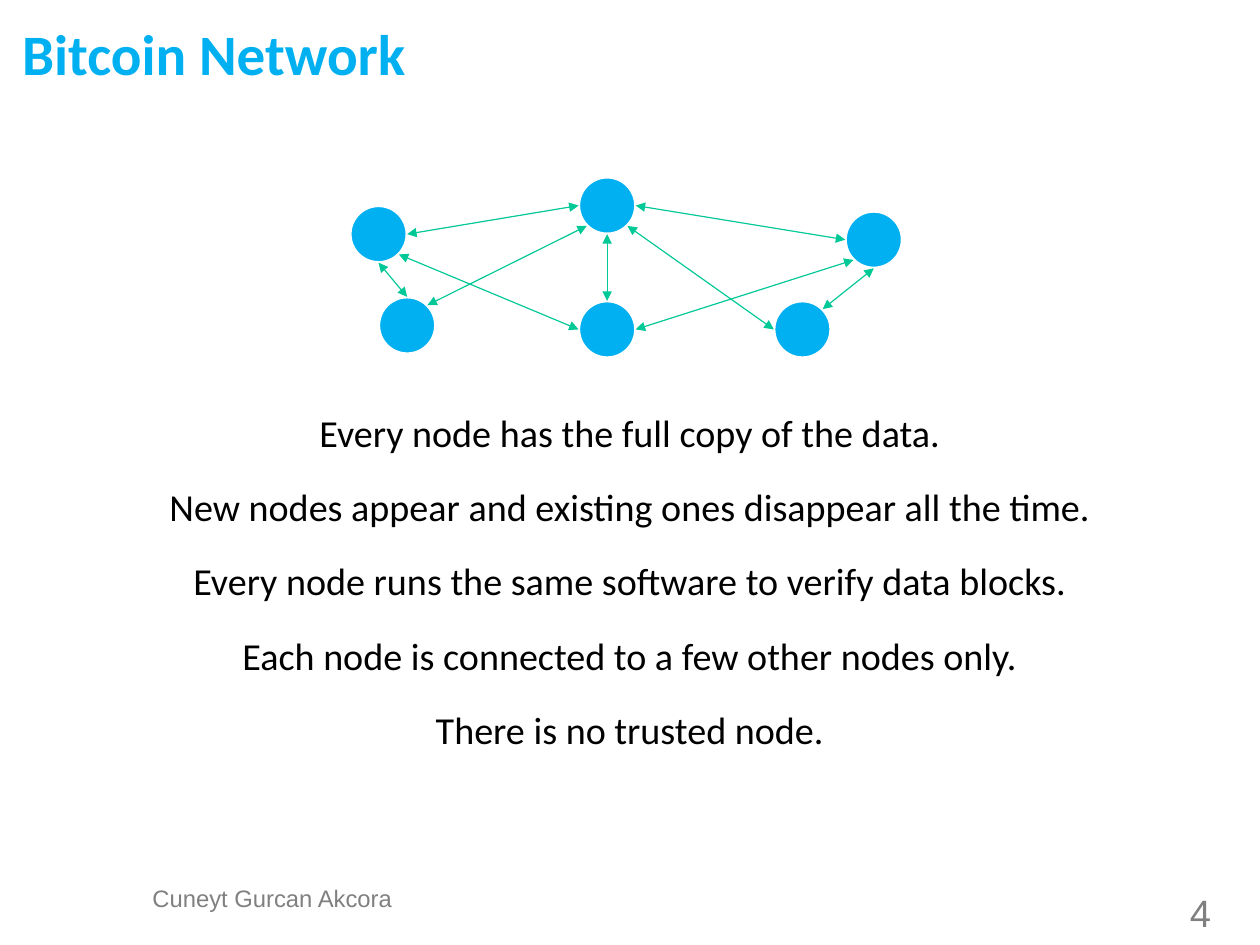
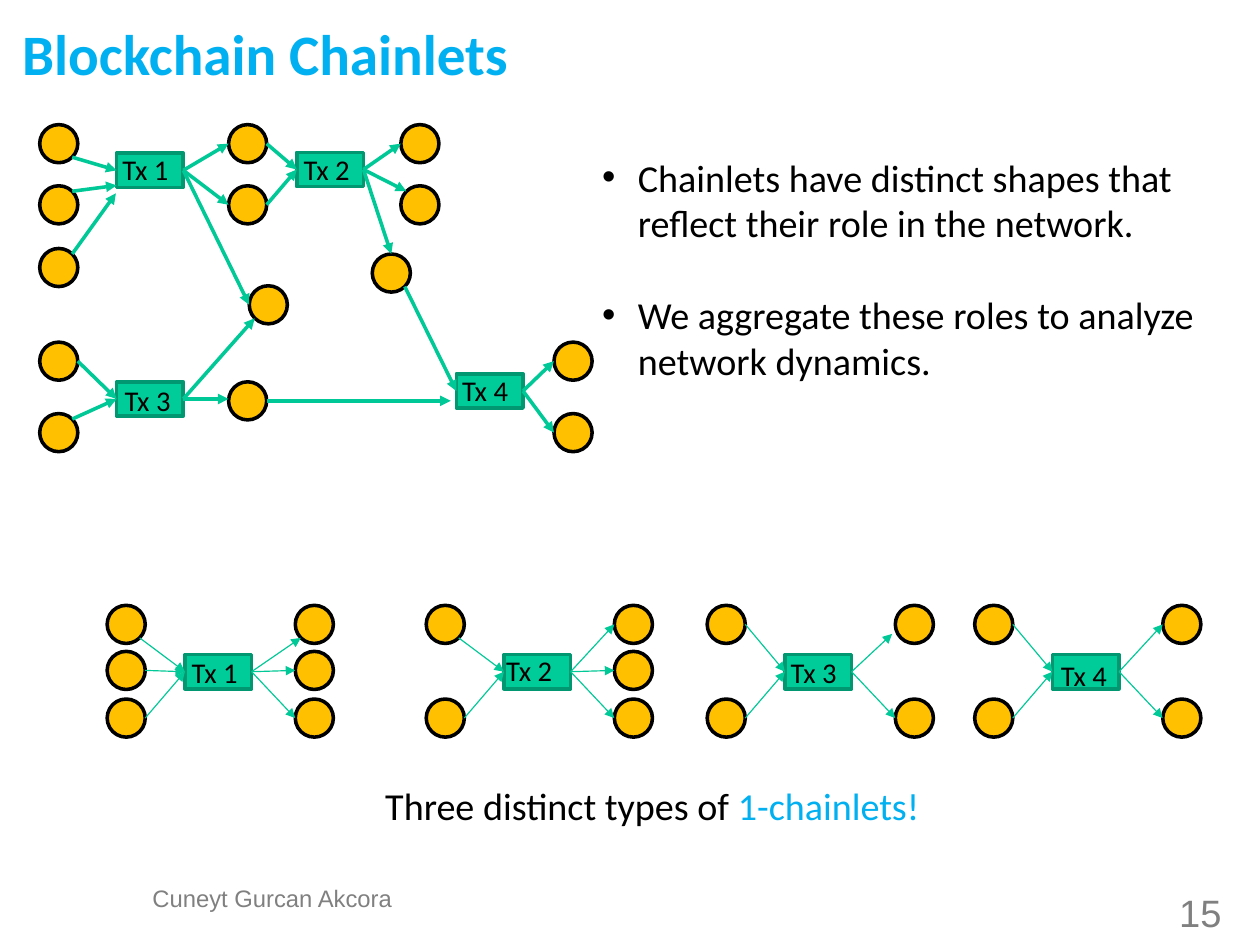
from lxml import etree
from pptx import Presentation
from pptx.dml.color import RGBColor
from pptx.enum import shapes, text
from pptx.oxml import ns
from pptx.util import Pt

BLUE = RGBColor(0x00, 0xB0, 0xF0)
GREEN = RGBColor(0x00, 0xC8, 0x96)
TX_FILL = RGBColor(0x00, 0xCC, 0x99)
TX_LINE = RGBColor(0x00, 0x97, 0x71)
GOLD = RGBColor(0xFF, 0xC0, 0x00)
GREY = RGBColor(0x80, 0x80, 0x80)
BLACK = RGBColor(0, 0, 0)
WHITE = RGBColor(0xFF, 0xFF, 0xFF)

OVAL, RECT = shapes.MSO_SHAPE.OVAL, shapes.MSO_SHAPE.RECTANGLE
CENTER, LEFT = text.PP_ALIGN.CENTER, text.PP_ALIGN.LEFT
FOOTER = "Cuneyt Gurcan Akcora"
TITLE_FONT = {"name": "Calibri", "size": Pt(36), "bold": True}
BODY_FONT = {"name": "Calibri", "size": Pt(24)}
LABEL_FONT = {"name": "Calibri", "size": Pt(18)}
FOOTER_FONT = {"name": "Arial", "size": Pt(15)}
NUMBER_FONT = {"name": "Arial", "size": Pt(24)}

COIN, TX_W, TX_H = 24, 42, 21.6
D = 0.71
SITES = {"N": (0, -1), "S": (0, 1), "E": (1, 0), "W": (-1, 0),
         "NE": (D, -D), "NW": (-D, -D), "SE": (D, D), "SW": (-D, D)}

PEERS = {"A": (0, 18), "B": (144, 0), "C": (312, 21.5),
         "D": (144, 78), "E": (18, 75.5), "F": (267, 78)}
PEER_LINKS = ["A SE D W", "A E B W", "B E C W", "D E C SW", "D N B S",
              "E N A S", "E NE B SW", "F NE C S", "B SE F W"]

COINS = {"a": (0, 0), "b": (0, 38.5), "c": (0, 78), "d": (0, 137),
         "e": (0, 182), "f": (119, 0), "g": (119, 38.5), "h": (119, 162),
         "i": (227.5, 0), "j": (227.5, 38.5), "k": (209.5, 81.5),
         "l": (324, 137), "m": (324, 182), "n": (132, 101.5)}
TXS = {"Tx 1": (48.5, 18, 3.6, -0.5), "Tx 2": (162, 17.5, 4.3, -0.5),
       "Tx 3": (48.5, 162, 5, 0.8), "Tx 4": (262.5, 157, 3.6, -0.5)}
COIN_LINKS = [
    ("a SE", "Tx 1"), ("b NE", "Tx 1", 0, 9.5), ("c NE", "Tx 1", -0.5, 14.5),
    ("d E", "Tx 3"), ("e NE", "Tx 3"), ("f E", "Tx 2"), ("g E", "Tx 2"),
    ("h E", "Tx 4", -3.5, 6.2), ("k SE", "Tx 4"),
    ("Tx 1", "f W"), ("Tx 1", "g W"), ("Tx 1", "n W"),
    ("Tx 2", "i W"), ("Tx 2", "j NW"), ("Tx 2", "k N"),
    ("Tx 3", "h W", 0, -1.2), ("Tx 3", "n SW"), ("Tx 4", "l W"), ("Tx 4", "m W")]

ROWS = (0, 29, 59)
CHAINLETS = [
    (67.5, "Tx 1", 4.3, 0.5, ((0, "SE"), (1, "E"), (2, "E")),
     ((0, "SW"), (1, "W"), (2, "W"))),
    (268.5, "Tx 2", 1.4, -1, ((0, "SE"), (2, "E")),
     ((0, "W"), (1, "W"), (2, "W"))),
    (445.5, "Tx 3", 3.6, 0.5, ((0, "E"), (2, "E")),
     ((0, "W", -2, 6), (2, "W"))),
    (614, "Tx 4", 5.4, 2.3, ((0, "E"), (2, "E")), ((0, "W"), (2, "W")))]

FACTS = ["Every node has the full copy of the data.",
         "New nodes appear and existing ones disappear all the time.",
         "Every node runs the same software to verify data blocks.",
         "Each node is connected to a few other nodes only.",
         "There is no trusted node."]
ROLES = ["Chainlets have distinct shapes that reflect their role in the network.",
         "We aggregate these roles to analyze network dynamics."]


def set_all(obj, values):
    """Set each attribute in the dict on the object."""
    for key, value in values.items():
        setattr(obj, key, value)


def add_run(p, words, font, color):
    """Add one formatted run to a paragraph."""
    r = p.add_run()
    r.text = words
    set_all(r.font, font)
    r.font.color.rgb = color


def add_text(s, box, paras, font, align=LEFT, inset=(7.2, 3.6), gap=0, spacing=1.0):
    """Add a text box; each paragraph is a list of (words, color) pairs."""
    tf = s.shapes.add_textbox(*map(Pt, box)).text_frame
    dx, dy = map(Pt, inset)
    set_all(tf, {"word_wrap": True, "margin_left": dx, "margin_right": dx,
                 "margin_top": dy, "margin_bottom": dy})
    for i, runs in enumerate(paras):
        p = tf.paragraphs[0] if i == 0 else tf.add_paragraph()
        set_all(p, {"alignment": align, "line_spacing": spacing,
                    "space_after": Pt(gap)})
        for words, color in runs:
            add_run(p, words, font, color)
    return tf


def add_bullets(tf, indent):
    """Give every paragraph a hanging round bullet."""
    for p in tf.paragraphs:
        pPr = p._p.get_or_add_pPr()
        pPr.set("marL", str(Pt(indent)))
        pPr.set("indent", str(-Pt(indent)))
        etree.SubElement(pPr, ns.qn("a:buFont")).set("typeface", "Arial")
        etree.SubElement(pPr, ns.qn("a:buChar")).set("char", "•")


def add_solid(s, kind, box, fill, line, width):
    """Add a flat filled shape."""
    sp = s.shapes.add_shape(kind, *map(Pt, box))
    sp.shadow.inherit = False
    sp.fill.solid()
    sp.fill.fore_color.rgb = fill
    sp.line.color.rgb = line
    sp.line.width = Pt(width)
    return sp


def add_arrow(s, start, end, width, ends=("tailEnd",)):
    """Add a straight green connector with triangle heads."""
    c = s.shapes.add_connector(shapes.MSO_CONNECTOR.STRAIGHT,
                               *map(Pt, (*start, *end)))
    c.line.color.rgb = GREEN
    c.line.width = Pt(width)
    for tag in ends:
        etree.SubElement(c.line._get_or_add_ln(), ns.qn("a:" + tag)).set("type", "triangle")
    etree.SubElement(c._element.spPr, ns.qn("a:effectLst"))


def site(box, name, dx=0, dy=0):
    """Return the point of a box's outline at a compass site."""
    x, y, w, h = box
    sx, sy = SITES[name]
    return x + w / 2 * (1 + sx) + dx, y + h / 2 * (1 + sy) + dy


def add_coin(s, x, y):
    """Add a gold coin circle and return its box."""
    box = (x, y, COIN, COIN)
    add_solid(s, OVAL, box, GOLD, BLACK, 2.25)
    return box


def add_tx(s, x, y, label, inset, drop):
    """Add a labelled transaction box and return its box."""
    box = (x, y, TX_W, TX_H)
    tf = add_solid(s, RECT, box, TX_FILL, TX_LINE, 2.25).text_frame
    set_all(tf, {"margin_left": Pt(inset), "margin_right": 0, "word_wrap": True,
                 "margin_top": Pt(max(0, 2 * drop)),
                 "margin_bottom": Pt(max(0, -2 * drop)),
                 "vertical_anchor": text.MSO_ANCHOR.MIDDLE})
    p = tf.paragraphs[0]
    p.alignment = LEFT
    add_run(p, label, LABEL_FONT, BLACK)
    return box


def add_frame(prs, title, number):
    """Add a blank slide with title, footer and page number."""
    s = prs.slides.add_slide(prs.slide_layouts[6])
    add_text(s, (14, 10.8, 714, 39.6), [[(title, BLUE)]], TITLE_FONT,
             inset=(0, 0), spacing=1.02)
    for box, words, font in (((93.5, 558.5, 156, 26.5), FOOTER, FOOTER_FONT),
                             ((720.2, 562.5, 72, 29), number, NUMBER_FONT)):
        add_text(s, box, [[(words, GREY)]], font, CENTER, (0, 0), spacing=0.93)
    return s


def draw_peers(s, x, y):
    """Draw the peer network from its top left corner."""
    boxes = {k: (x + dx, y + dy, 36, 36) for k, (dx, dy) in PEERS.items()}
    for box in boxes.values():
        add_solid(s, OVAL, box, BLUE, WHITE, 2)
    for link in PEER_LINKS:
        a, a_site, b, b_site = link.split()
        add_arrow(s, site(boxes[a], a_site), site(boxes[b], b_site), 0.75,
                  ("headEnd", "tailEnd"))


def draw_graph(s, x, y):
    """Draw the transaction graph from its top left corner."""
    boxes = {k: add_coin(s, x + dx, y + dy) for k, (dx, dy) in COINS.items()}
    for k, (dx, dy, inset, drop) in TXS.items():
        boxes[k] = add_tx(s, x + dx, y + dy, k, inset, drop)
    for a, b, *shift in COIN_LINKS:
        if b in TXS:
            k, name = a.split()
            add_arrow(s, site(boxes[k], name), site(boxes[b], "W", *shift), 2.25)
        else:
            k, name = b.split()
            add_arrow(s, site(boxes[a], "E"), site(boxes[k], name, *shift), 2.25)


def draw_chainlet(s, x, y, label, inset, drop, inputs, outputs):
    """Draw one chainlet from its top left corner."""
    tx = add_tx(s, x + 49, y + 31, label, inset, drop)
    for row, *where in inputs:
        coin = add_coin(s, x, y + ROWS[row])
        add_arrow(s, site(coin, *where), site(tx, "W"), 0.75)
    for row, *where in outputs:
        coin = add_coin(s, x + 118.5, y + ROWS[row])
        add_arrow(s, site(tx, "E"), site(coin, *where), 0.75)


def build_network(prs):
    """Build the network slide."""
    s = add_frame(prs, "Bitcoin Network", "4")
    draw_peers(s, 220.5, 111.5)
    add_text(s, (36.7, 254, 720, 254), [[(fact, BLACK)] for fact in FACTS],
             BODY_FONT, CENTER, gap=18.1)


def build_chainlets(prs):
    """Build the chainlets slide."""
    s = add_frame(prs, "Blockchain Chainlets", "15")
    draw_graph(s, 25, 78.5)
    tf = add_text(s, (372.3, 93.5, 410.5, 153), [[(role, BLACK)] for role in ROLES],
                  BODY_FONT, gap=28.9)
    add_bullets(tf, 22.5)
    for x, *parts in CHAINLETS:
        draw_chainlet(s, x, 381.3, *parts)
    add_text(s, (126, 489.5, 570, 36),
             [[("Three distinct types of ", BLACK), ("1-chainlets!", BLUE)]],
             BODY_FONT, CENTER)


def main():
    """Build and save the presentation."""
    prs = Presentation()
    set_all(prs, {"slide_width": Pt(793.75), "slide_height": Pt(595.25)})
    build_network(prs)
    build_chainlets(prs)
    prs.save("out.pptx")


if __name__ == "__main__":
    main()
